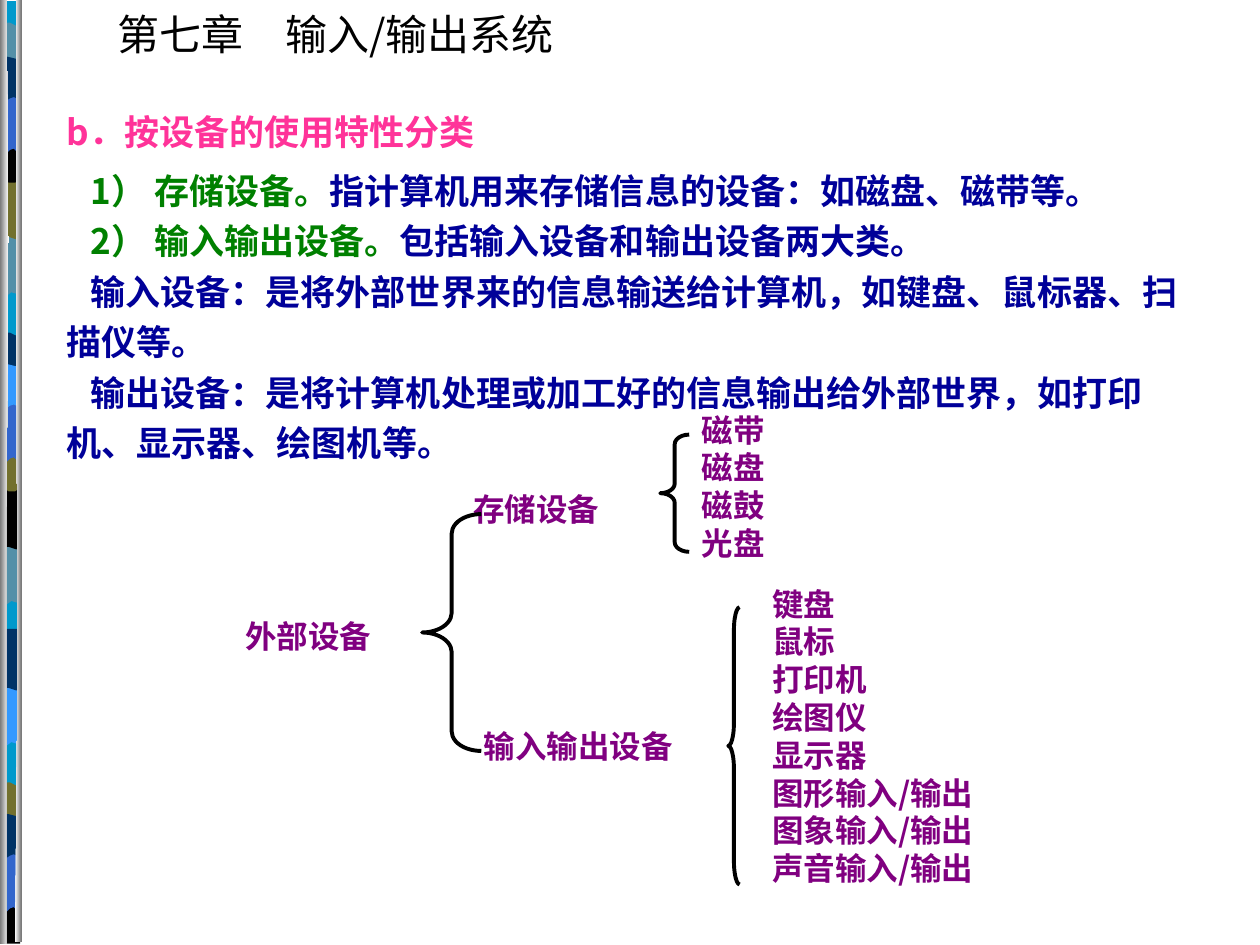
from lxml.etree import SubElement
from pptx import Presentation
from pptx.dml.color import RGBColor
from pptx.enum.shapes import MSO_SHAPE as Preset
from pptx.enum.text import MSO_ANCHOR as Anchor, MSO_AUTO_SIZE as AutoSize, PP_ALIGN as Align
from pptx.oxml.ns import qn
from pptx.util import Pt

PX = 9144
FONT = "Noto Sans CJK SC"
CURVE_STEPS = 3
COLORS = {
    "black": "000000", "pink": "FF3399", "navy": "000099", "green": "008000",
    "purple": "800080", "cyan": "0099CC", "teal": "5490A8", "olive": "72702E",
    "blue": "3366CC", "deep": "003366", "sky": "3399FF", "white": "FFFFFF", "gray": "767676",
}


def add_run(paragraph, text, size, color, bold=True):
    run = paragraph.add_run()
    run.text = text
    run.font.size = Pt(size)
    run.font.bold = bold
    run.font.name = FONT
    run.font.color.rgb = RGBColor.from_string(COLORS[color])
    SubElement(run._r.get_or_add_rPr(), qn("a:ea")).set("typeface", FONT)


def add_outline(shapes, left, top, outline):
    points = []
    for step in outline:
        if len(step) == 2:
            points.append(step)
            continue
        (x0, y0), (x1, y1, x2, y2, x3, y3) = points[-1], step
        for t in (i / CURVE_STEPS for i in range(1, CURVE_STEPS + 1)):
            a, b, c, d = (1 - t) ** 3, 3 * t * (1 - t) ** 2, 3 * t * t * (1 - t), t ** 3
            points.append((a * x0 + b * x1 + c * x2 + d * x3, a * y0 + b * y1 + c * y2 + d * y3))
    builder = shapes.build_freeform(points[0][0], points[0][1], scale=PX)
    builder.add_line_segments(points[1:], close=True)
    shape = builder.convert_to_shape(left * PX, top * PX)
    shape.shadow.inherit = False
    shape.line.fill.background()
    return shape


presentation = Presentation()
presentation.slide_width = 1000 * PX
presentation.slide_height = 750 * PX
slide = presentation.slides.add_slide(presentation.slide_layouts[5])
shapes = slide.shapes

OUTLINES = {
    "base": [(14, 0), (14, 745), (0, 745), (0, 0)],
    "slant": [(14, 0), (14, 47), (5, 38, 3, 54, 0, 47), (0, 0)],
    "ripple": [(14, 0), (14, 47), (12, 55, 5, 42, 0, 47), (0, 0)],
    "drop": [(14, 5), (14, 29), (12, 33, 3, 33, 0, 29), (0, 5), (1, 0, 4, 1, 6, 1), (14, 5)],
    "cup": [(14, 0), (14, 33), (12, 38, 3, 38, 0, 33), (0, 0), (9, 5, 11, 0, 14, 0)],
    "arch": [(14, 0), (14, 47), (9, 42), (7, 42, 3, 47, 0, 47), (0, 0)],
    "bulge": [(14, 5), (14, 35), (13, 41, 11, 35, 9, 35), (7, 35, 2, 41, 0, 35), (0, 5),
              (2, 0, 10, 5, 12, 5), (14, 5)],
    "foot": [(14, 0), (14, 37), (0, 37), (0, 0), (9, 5, 11, 0, 14, 0)],
}
BANDS = [
    ("base", 1, "cyan"), ("slant", 187, "teal"), ("ripple", 141, "olive"), ("drop", 17, "teal"),
    ("cup", 109, "black"), ("arch", 76, "blue"), ("bulge", 42, "deep"),
    ("slant", 432, "teal"), ("ripple", 387, "black"), ("drop", 263, "deep"),
    ("cup", 354, "olive"), ("arch", 321, "blue"), ("bulge", 286, "sky"),
    ("slant", 544, "sky"), ("ripple", 499, "deep"), ("drop", 620, "olive"),
    ("foot", 712, "black"), ("arch", 678, "blue"), ("bulge", 643, "deep"),
]
for outline, top, color in BANDS:
    band = add_outline(shapes, 2, top, OUTLINES[outline])
    band.fill.solid()
    band.fill.fore_color.rgb = RGBColor.from_string(COLORS[color])

RAILS = [
    ([(5, 0), (10, 217, 2, 296, 5, 749), (0, 749), (0, 0)], ("gray", "white")),
    ([(13, 0), (12, 124, 16, 646, 12, 748), (17, 748), (17, 0)], ("white", "gray")),
]
for outline, stops in RAILS:
    rail = add_outline(shapes, 0, 0, outline)
    rail.fill.gradient()
    rail.fill.gradient_angle = 0
    for stop, position, color in zip(rail.fill.gradient_stops, (0, 1), stops):
        stop.position = position
        stop.color.rgb = RGBColor.from_string(COLORS[color])

title = shapes.title
title.left, title.top, title.width, title.height = (n * PX for n in (83, 2, 389, 50))
frame = title.text_frame
frame.word_wrap = False
frame.auto_size = AutoSize.NONE
frame.vertical_anchor = Anchor.TOP
frame.paragraphs[0].alignment = Align.LEFT
add_run(frame.paragraphs[0], "第七章　输入/输出系统", 24, "black", False)

BODY = [
    (0, [("b．按设备的使用特性分类", "pink")]),
    (19, [("1） 存储设备。", "green"), ("指计算机用来存储信息的设备：如磁盘、磁带等。", "navy")]),
    (19, [("2） 输入输出设备。", "green"), ("包括输入设备和输出设备两大类。", "navy")]),
    (19, [("输入设备：是将外部世界来的信息输送给计算机，如键盘、鼠标器、扫描仪等。", "navy")]),
    (19, [("输出设备：是将计算机处理或加工好的信息输出给外部世界，如打印机、显示器、绘图机等。", "navy")]),
]
body = shapes.add_textbox(43 * PX, 76 * PX, 914 * PX, 337 * PX).text_frame
body.word_wrap = True
for index, (indent, runs) in enumerate(BODY):
    paragraph = body.add_paragraph() if index else body.paragraphs[0]
    paragraph.line_spacing = 1.2
    paragraph.space_before = Pt(5 if index == 1 else 0)
    properties = paragraph._p.get_or_add_pPr()
    properties.set("marL", "0")
    properties.set("indent", str(indent * PX))
    properties.set("hangingPunct", "0")
    for text, color in runs:
        add_run(paragraph, text, 20, color)

LABELS = [
    (185, 485, 173, 47, ["外部设备"]),
    (366, 384, 157, 47, ["存储设备"]),
    (374, 572, 236, 46, ["输入输出设备"]),
    (547, 321, 118, 165, ["磁带", "磁盘", "磁鼓", "光盘"]),
    (603, 459, 260, 331, ["键盘", "鼠标", "打印机", "绘图仪", "显示器",
                          "图形输入/输出", "图象输入/输出", "声音输入/输出"]),
]
for left, top, width, height, lines in LABELS:
    label = shapes.add_textbox(left * PX, top * PX, width * PX, height * PX).text_frame
    label.word_wrap = True
    for index, line in enumerate(lines):
        paragraph = label.add_paragraph() if index else label.paragraphs[0]
        paragraph.alignment = Align.JUSTIFY
        add_run(paragraph, line, 18, "purple")

BRACES = [(335, 408, 47, 188, 0.33), (524, 345, 23, 93, 0.33), (578, 482, 9, 220, 2.03)]
for left, top, width, height, curve in BRACES:
    brace = shapes.add_shape(Preset.LEFT_BRACE, left * PX, top * PX, width * PX, height * PX)
    brace.adjustments[0] = curve
    brace.shadow.inherit = False
    brace.fill.background()
    brace.line.color.rgb = RGBColor.from_string(COLORS["black"])
    brace.line.width = Pt(2.25)

presentation.save("out.pptx")
